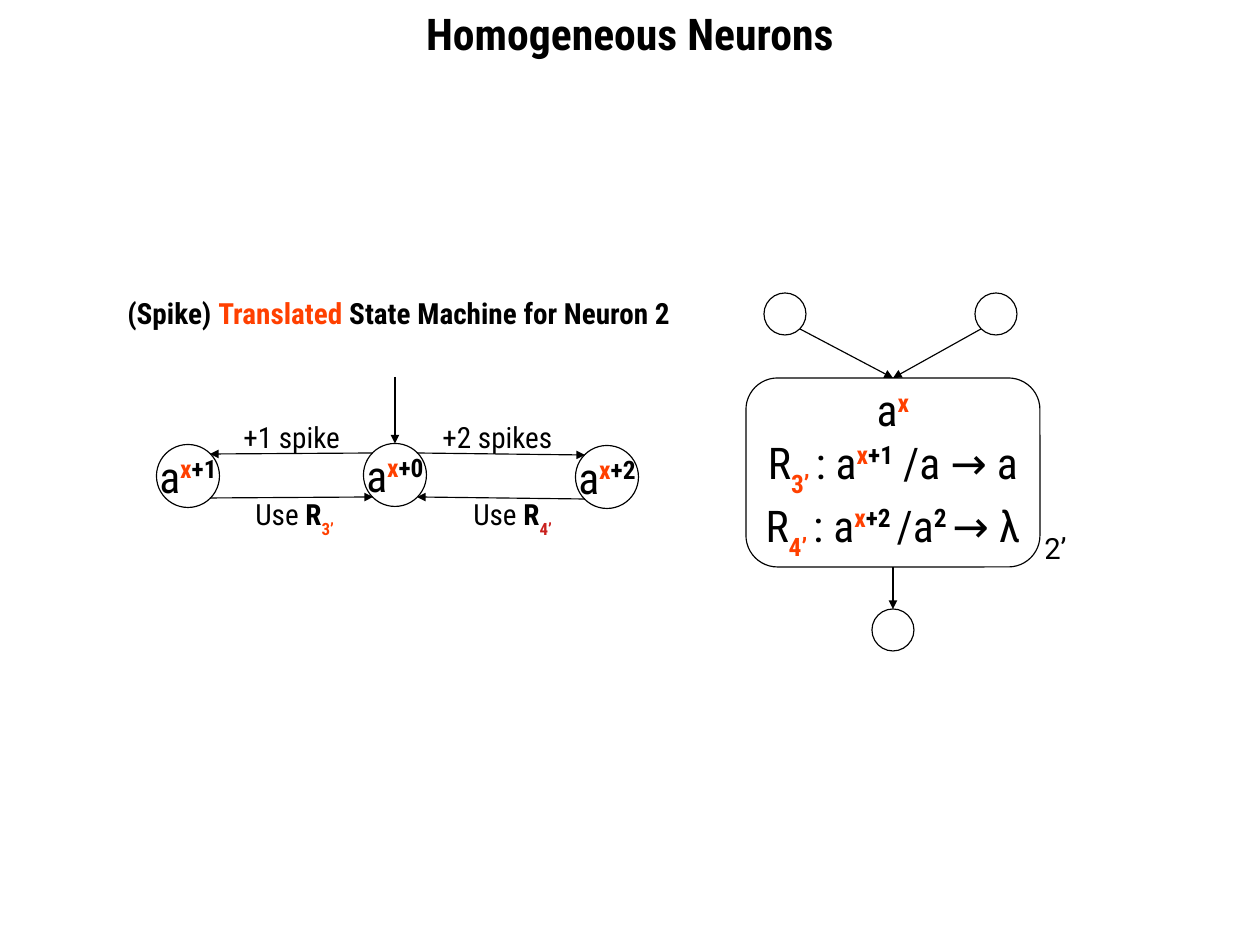
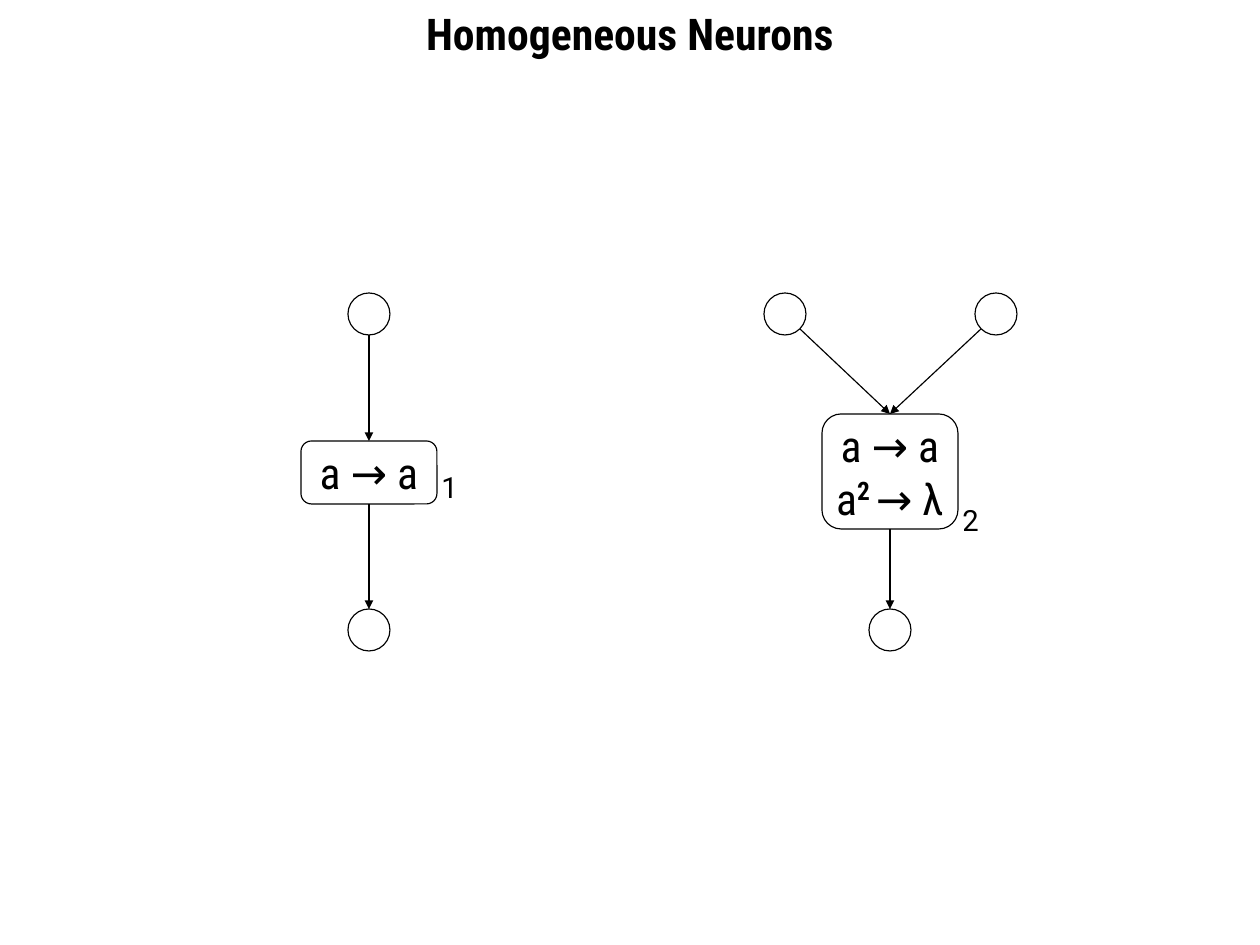
import pptx
import pptx.util
import pptx.dml.color
import pptx.enum.shapes
import pptx.enum.text
import pptx.oxml.ns
from lxml import etree

PX = 914400 / 105          # one pixel in EMU
INK, HOT, RED = "000000", "FF4000", "C9211E"
FACE, PLAIN = "Roboto Condensed", "Roboto"
BIG, SMALL = 30, 20
THIN = 0.79
DOT, STATE, EDGE = 42, 63, 22   # node sizes; arrow offset from a state's centre
TOP, END = 314, 630             # centre heights of input and output nodes

FORM = pptx.enum.shapes.MSO_SHAPE
LEFT = pptx.enum.text.PP_ALIGN.LEFT
MID = pptx.enum.text.PP_ALIGN.CENTER


def px(*vals):
    return [round(v * PX) for v in vals]


def paint(code):
    return pptx.dml.color.RGBColor.from_string(code)


def write(frame, lines, size, align=MID, face=FACE):
    """Each line is a list of (text, marks): b bold, o orange, r red, ^ raised, _ lowered."""
    for num, line in enumerate(lines):
        para = frame.paragraphs[0] if num == 0 else frame.add_paragraph()
        para.alignment = align
        font = para.font
        font.name, font.size = face, pptx.util.Pt(size)
        font.color.rgb = paint(INK)
        for text, marks in line:
            run = para.add_run()
            run.text = text
            if "b" in marks:
                run.font.bold = True
            for mark, code in (("o", HOT), ("r", RED)):
                if mark in marks:
                    run.font.color.rgb = paint(code)
            for mark, shift in (("^", "33000"), ("_", "-33000")):
                if mark in marks:
                    run.font._element.set("baseline", shift)


def label(slide, x, y, w, h, line, size=SMALL, align=LEFT, face=FACE):
    frame = slide.shapes.add_textbox(*px(x, y, w, h)).text_frame
    frame.word_wrap = True
    write(frame, [line], size, align, face)


def block(slide, form, x, y, w, h, lines=()):
    shape = slide.shapes.add_shape(form, *px(x, y, w, h))
    shape.shadow.inherit = False
    shape.fill.background()
    shape.line.color.rgb = paint(INK)
    shape.line.width = pptx.util.Pt(THIN)
    frame = shape.text_frame
    frame.word_wrap = False
    frame.vertical_anchor = pptx.enum.text.MSO_ANCHOR.MIDDLE
    write(frame, lines, BIG)


def node(slide, x, y, size=DOT, lines=()):
    block(slide, FORM.OVAL, x - size / 2, y - size / 2, size, size, lines)


def arrow(slide, x1, y1, x2, y2):
    kind = pptx.enum.shapes.MSO_CONNECTOR.STRAIGHT
    line = slide.shapes.add_connector(kind, *px(x1, y1, x2, y2))
    line.line.color.rgb = paint(INK)
    line.line.width = pptx.util.Pt(THIN)
    tag = pptx.oxml.ns.qn
    props = line._element.spPr
    etree.SubElement(props.find(tag("a:ln")), tag("a:tailEnd"), type="triangle")
    etree.SubElement(props, tag("a:effectLst"))


def neuron(slide, x, y, w, h, lines, inputs, name, name_y):
    """A rule box fed by input nodes, with one output node below."""
    mid = x + w / 2
    block(slide, FORM.ROUNDED_RECTANGLE, x, y, w, h, lines)
    label(slide, x + w - 6, name_y, 47, 49, [(name, "")], face=PLAIN)
    for cx in inputs:
        side = (mid > cx) - (mid < cx)
        node(slide, cx, TOP)
        arrow(slide, cx + 15 * side, TOP + (15 if side else DOT / 2), mid, y)
    node(slide, mid, END)
    arrow(slide, mid, y + h, mid, END - DOT / 2)


def machine(slide):
    """Three states, joined by arrows to and from the middle one."""
    hub, y = 395, 475
    states = ((hub, y, "+0"), (188, 476, "+1"), (607, 477, "+2"))
    for cx, cy, gain in states:
        node(slide, cx, cy, STATE, [[("a", ""), ("x", "bo^"), (gain, "b^")]])
    for cx, cy, _ in states[1:]:
        side = 1 if cx > hub else -1
        near, far = hub + EDGE * side, cx - EDGE * side
        arrow(slide, near, y - EDGE, far, cy - EDGE)
        arrow(slide, far, cy + EDGE, near, y + EDGE)
    arrow(slide, hub, 377, hub, y - STATE / 2)

    # Arrow captions
    for x, w, text in ((233, 118, "+1 spike"), (432, 131, "+2 spikes")):
        label(slide, x, 414, w, 49, [(text, "")])
    for x, rule, marks in ((245, "3’", "bo_"), (463, "4’", "br_")):
        label(slide, x, 491, 105, 56, [("Use ", ""), ("R", "b"), (rule, marks)])
    label(slide, 117, 290, 567, 49, [("(Spike) ", "b"), ("Translated", "bo"),
                                     (" State Machine for Neuron 2", "b")])


def page(deck):
    slide = deck.slides.add_slide(deck.slide_layouts[6])
    label(slide, 0, 2, 1260, 68, [("Homogeneous Neurons", "b")], BIG, MID)
    return slide


def main():
    deck = pptx.Presentation()
    deck.slide_width, deck.slide_height = px(1260, 945)
    pair = (785, 996)

    # Translated neuron and its state machine
    slide = page(deck)
    rules = [
        [("a", ""), ("x", "bo^")],
        [("R", ""), ("3’ ", "bo_"), (": a", ""), ("x", "bo^"), ("+1", "b^"),
         (" /a → a", "")],
        [("R", ""), ("4’ ", "bo_"), (": a", ""), ("x", "bo^"), ("+2 ", "b^"),
         ("/a", ""), ("2 ", "b^"), ("→ λ", "")],
    ]
    neuron(slide, 746, 378, 294, 189, rules, pair, "2’", 525)
    machine(slide)

    # The two starting neurons
    slide = page(deck)
    fire = [("a → a", "")]
    forget = [("a", ""), ("2 ", "b^"), ("→ λ", "")]
    neuron(slide, 301, 441, 136, 63, [fire], (369,), "1", 464)
    neuron(slide, 822, 414, 136, 115, [fire, forget], pair, "2", 497)

    deck.save("out.pptx")


if __name__ == "__main__":
    main()
